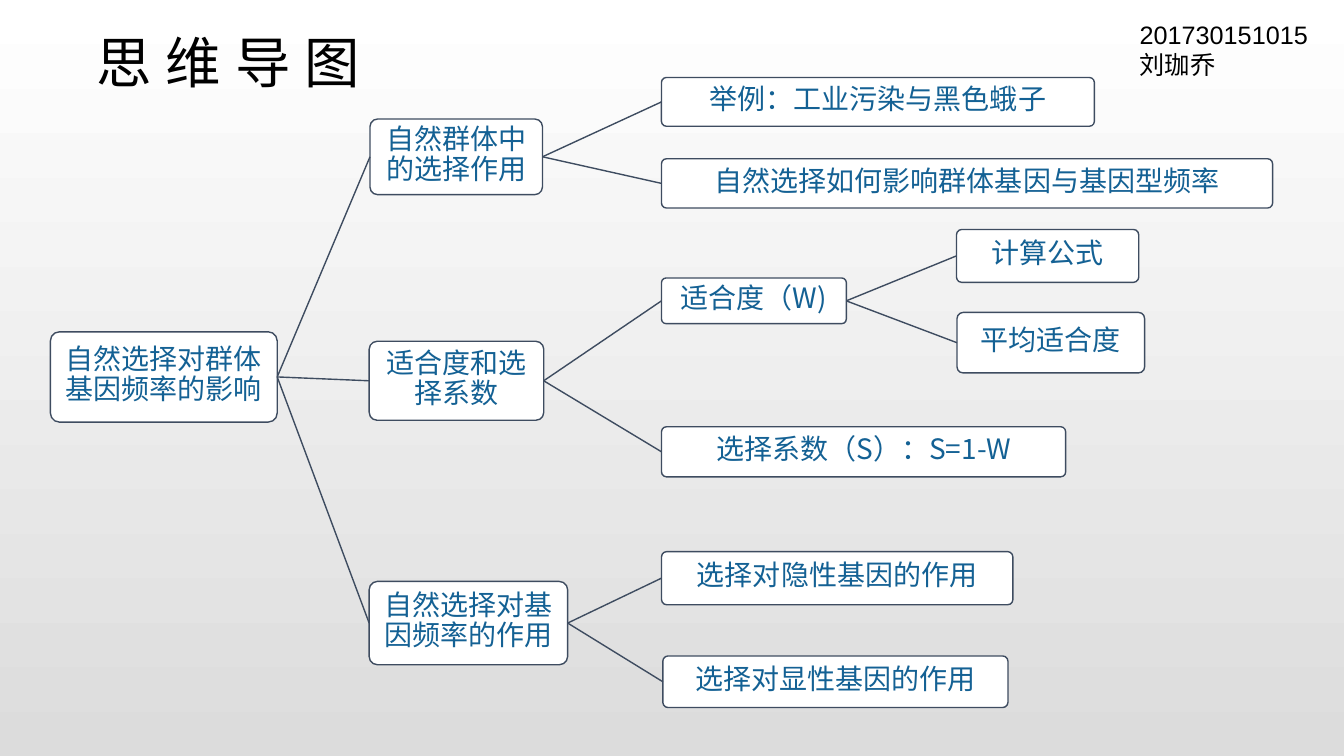
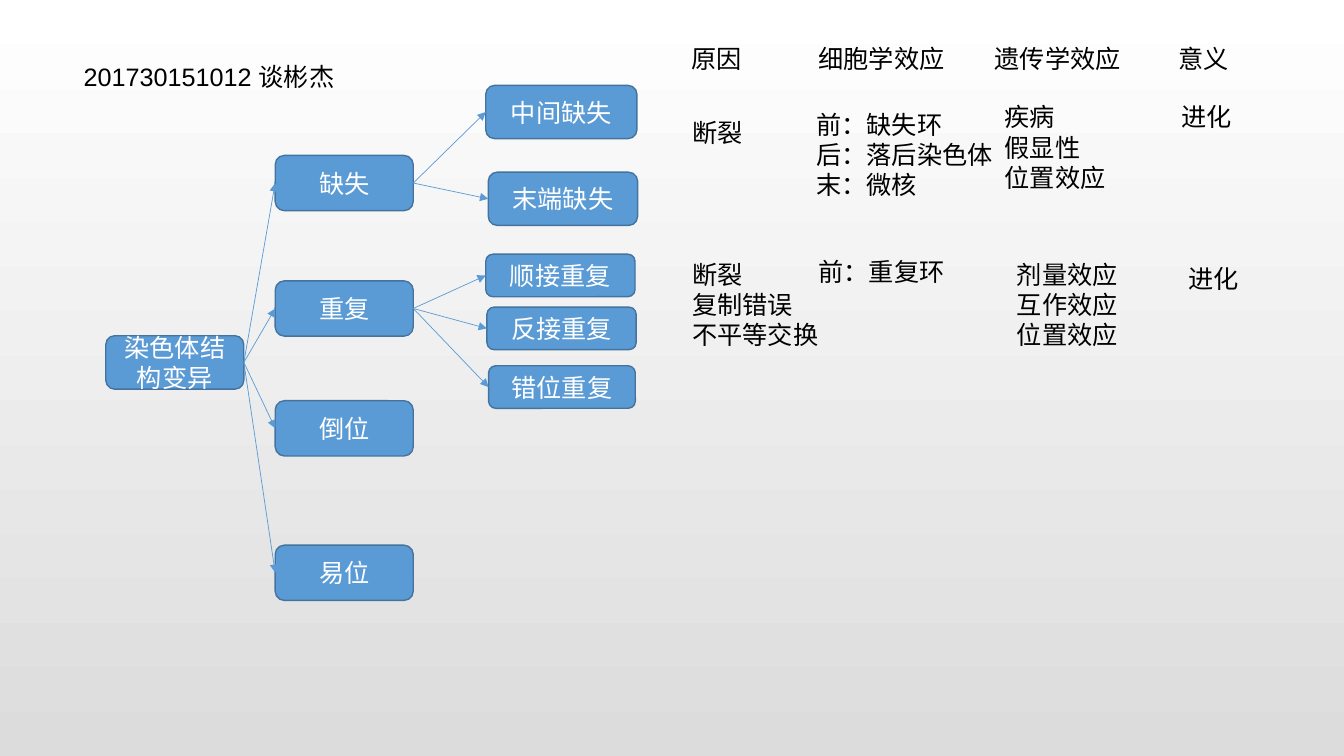
"""Build two mind-map slides on selection and on chromosome structural variation."""
from lxml.etree import SubElement
from pptx import Presentation
from pptx.dml.color import RGBColor
from pptx.enum.shapes import MSO_CONNECTOR, MSO_SHAPE
from pptx.enum.text import MSO_ANCHOR, PP_ALIGN
from pptx.oxml.ns import qn
from pptx.util import Pt

BLACK, WHITE = "000000", "FFFFFF"
RIGHT_SITE, LEFT_SITE = 3, 1


def color(hex_code):
    return RGBColor.from_string(hex_code)


def write(frame, text, size=18, ink=BLACK, font="Arial", align=PP_ALIGN.LEFT,
          anchor=MSO_ANCHOR.TOP, margins=(7.2, 3.6, 7.2, 3.6), leading=1.0, tracking=0):
    frame.text = text
    frame.word_wrap = True
    frame.vertical_anchor = anchor
    (frame.margin_left, frame.margin_top,
     frame.margin_right, frame.margin_bottom) = map(Pt, margins)
    for paragraph in frame.paragraphs:
        paragraph.alignment = align
        paragraph.line_spacing = leading
        for run in paragraph.runs:
            run.font.name = font
            run.font.size = Pt(size)
            run.font.color.rgb = color(ink)
            if tracking:
                run._r.get_or_add_rPr().set("spc", str(tracking * 100))


deck = Presentation()
deck.slide_width, deck.slide_height = Pt(960), Pt(540)

backdrop = deck.slide_master.background.fill
backdrop.gradient()
backdrop.gradient_angle = 270
for stop, shade in zip(backdrop.gradient_stops, (WHITE, "DCDCDC")):
    stop.color.rgb = color(shade)

selection_slide = deck.slides.add_slide(deck.slide_layouts[5])
variation_slide = deck.slides.add_slide(deck.slide_layouts[6])

heading = selection_slide.shapes.title
heading.left, heading.top, heading.width, heading.height = map(Pt, (28, 14.4, 264, 58.3))
write(heading.text_frame, "思维导图", size=39.6, align=PP_ALIGN.CENTER,
      anchor=MSO_ANCHOR.MIDDLE, margins=(8, 3, 2, 3), tracking=10)

selection_topics = [
    ("自然选择对群体基因频率的影响", None, 36, 237, 162, 64.5),
    ("自然群体中的选择作用", "自然选择对群体基因频率的影响", 264.3, 85, 123.2, 54),
    ("适合度和选择系数", "自然选择对群体基因频率的影响", 263.7, 243.8, 124.7, 56.4),
    ("自然选择对基因频率的作用", "自然选择对群体基因频率的影响", 263.7, 415.3, 141.8, 59.5),
    ("举例：工业污染与黑色蛾子", "自然群体中的选择作用", 472.5, 55.4, 309.2, 34.8),
    ("自然选择如何影响群体基因与基因型频率", "自然群体中的选择作用", 472.5, 113.4, 436.5, 35.2),
    ("适合度（W)", "适合度和选择系数", 472.5, 198.6, 132, 32.6),
    ("选择系数（S）：S=1-W", "适合度和选择系数", 472.5, 304.8, 288.7, 35.8),
    ("计算公式", "适合度（W)", 683.2, 163.9, 130.2, 37.8),
    ("平均适合度", "适合度（W)", 683.6, 223.2, 134, 43.2),
    ("选择对隐性基因的作用", "自然选择对基因频率的作用", 472.5, 394, 251, 38),
    ("选择对显性基因的作用", "自然选择对基因频率的作用", 473.5, 468.6, 246.5, 36.8),
]
variation_topics = [
    ("染色体结构变异", None, 75.6, 239.8, 98.6, 38.2),
    ("缺失", "染色体结构变异", 196.6, 111, 98.6, 39.5),
    ("重复", "染色体结构变异", 196.6, 200.6, 98.6, 39.5),
    ("倒位", "染色体结构变异", 196.6, 286.2, 98.6, 39.5),
    ("易位", "染色体结构变异", 196.6, 389.4, 98.6, 39.5),
    ("中间缺失", "缺失", 347, 61, 108, 38),
    ("末端缺失", "缺失", 348.8, 123, 106.6, 38),
    ("顺接重复", "重复", 347, 181.6, 106.6, 30.4),
    ("反接重复", "重复", 347.8, 219.4, 106.6, 30.4),
    ("错位重复", "重复", 349, 261.3, 104.8, 30.4),
]
selection_style = dict(fill=WHITE, outline="3E4C60", link="3E4C60", link_width=1,
                       rounding=0.1, arrow=False)
variation_style = dict(fill="5B9BD5", outline="43739E", link="5B9BD5", link_width=0.5,
                       rounding=0.167, arrow=True)
selection_text = dict(size=20, ink="146194", font="Noto Sans CJK SC",
                      margins=(3, 2, 3, 4), leading=0.9)
variation_text = dict(ink=WHITE)

for slide, topics, style, text_format in (
    (selection_slide, selection_topics, selection_style, selection_text),
    (variation_slide, variation_topics, variation_style, variation_text),
):
    nodes = {}
    for topic, parent, *place in topics:
        node = slide.shapes.add_shape(MSO_SHAPE.ROUNDED_RECTANGLE, *map(Pt, place))
        node.shadow.inherit = False
        node.adjustments[0] = style["rounding"]
        node.fill.solid()
        node.fill.fore_color.rgb = color(style["fill"])
        node.line.color.rgb = color(style["outline"])
        node.line.width = Pt(1)
        write(node.text_frame, topic, align=PP_ALIGN.CENTER,
              anchor=MSO_ANCHOR.MIDDLE, **text_format)
        nodes[topic] = node
        if parent is None:
            continue
        link = slide.shapes.add_connector(MSO_CONNECTOR.STRAIGHT, 0, 0, 0, 0)
        link.begin_connect(nodes[parent], RIGHT_SITE)
        link.end_connect(node, LEFT_SITE)
        link.line.color.rgb = color(style["link"])
        link.line.width = Pt(style["link_width"])
        if style["arrow"]:
            SubElement(link.line._get_or_add_ln(), qn("a:tailEnd"), type="triangle")
        SubElement(link._element.spPr, qn("a:effectLst"))

notes = [
    (selection_slide, "201730151015 刘珈乔", 807, 10, 150, 51),
    (variation_slide, "201730151012 谈彬杰", 52.6, 40.3, 232.6, 29),
    (variation_slide, "原因", 487, 27.4, 59, 29),
    (variation_slide, "细胞学效应", 577.5, 27.4, 107, 29),
    (variation_slide, "遗传学效应", 703.4, 27.4, 110, 29),
    (variation_slide, "意义", 834.5, 27.4, 65.5, 29),
    (variation_slide, "断裂", 487.5, 80, 57, 29),
    (variation_slide, "前：缺失环\n后：落后染色体\n末：微核", 576, 74.2, 143, 73),
    (variation_slide, "疾病\n假显性\n位置效应", 710.6, 69.1, 137.5, 73),
    (variation_slide, "进化", 836.6, 69.1, 110, 29),
    (variation_slide, "断裂\n复制错误\n不平等交换", 487.5, 181.4, 117, 73),
    (variation_slide, "前：重复环", 577.5, 179.3, 142.5, 29),
    (variation_slide, "剂量效应\n互作效应\n位置效应", 719.3, 181.4, 168.5, 73),
    (variation_slide, "进化", 841.7, 184.3, 110, 29),
]
for slide, text, *place in notes:
    write(slide.shapes.add_textbox(*map(Pt, place)).text_frame, text)

deck.save("out.pptx")
